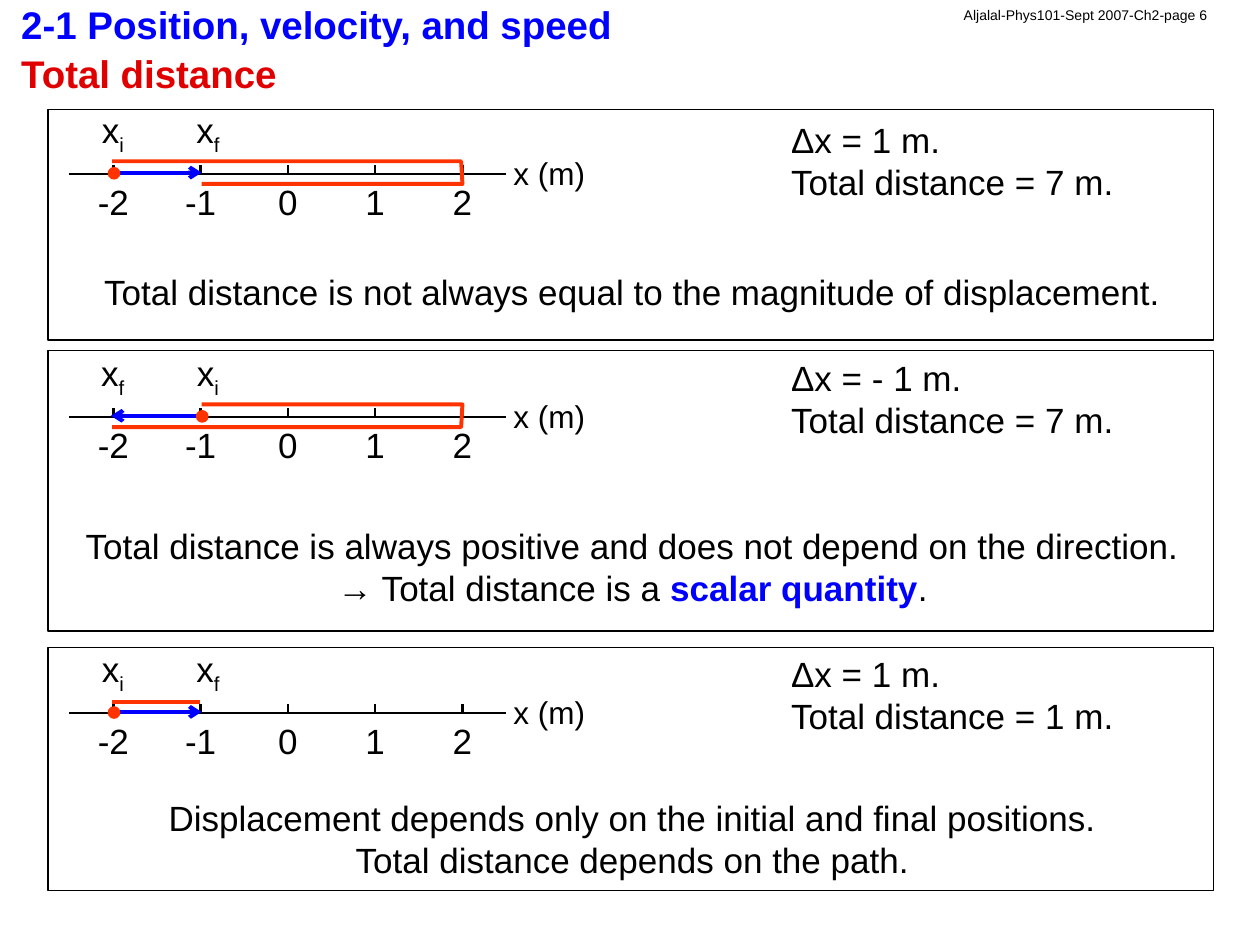
"""Build a slide comparing total distance and displacement on three number lines."""
import lxml.etree
import pptx
import pptx.dml.color
import pptx.enum.shapes
import pptx.enum.text
import pptx.oxml.ns
import pptx.util

Inches = pptx.util.Inches
hue = pptx.dml.color.RGBColor.from_string
qn = pptx.oxml.ns.qn
kinds = pptx.enum.shapes.MSO_SHAPE
LEFT = pptx.enum.text.PP_ALIGN.LEFT
MID = pptx.enum.text.PP_ALIGN.CENTER
BLACK, BLUE, RED, ORANGE = "000000", "0000FF", "E10000", "FF3300"


def text(host, at, rows, size=20, color=BLACK, bold=False, align=MID, wrap=True):
    box = host.add_textbox(*map(Inches, at))
    frame = box.text_frame
    frame.word_wrap = wrap
    frame.auto_size = pptx.enum.text.MSO_AUTO_SIZE.SHAPE_TO_FIT_TEXT
    for i, row in enumerate(rows):
        para = frame.paragraphs[0] if i == 0 else frame.add_paragraph()
        para.alignment = align
        for words, style in row if isinstance(row, list) else [(row, {})]:
            run = para.add_run()
            run.text = words
            run.font.name = "Arial"
            run.font.size = pptx.util.Pt(size)
            run.font.bold = style.get("bold", bold)
            run.font.color.rgb = hue(style.get("color", color))
            if "base" in style:
                run._r.get_or_add_rPr().set("baseline", style["base"])


def line(host, start, end, color=BLACK, width=1.5, arrow=False):
    link = host.add_connector(
        pptx.enum.shapes.MSO_CONNECTOR.STRAIGHT, *map(Inches, start + end))
    link.line.color.rgb = hue(color)
    link.line.width = pptx.util.Pt(width)
    props = link._element.spPr
    if arrow:
        lxml.etree.SubElement(props.find(qn("a:ln")), qn("a:tailEnd"), type="arrow")
    lxml.etree.SubElement(props, qn("a:effectLst"))


deck = pptx.Presentation()
deck.slide_width, deck.slide_height = Inches(10), Inches(7.5)
shapes = deck.slides.add_slide(deck.slide_layouts[6]).shapes

text(shapes, (7.55, 0, 2.58, 0.24), ["Aljalal-Phys101-Sept 2007-Ch2-page 6"],
     size=8, align=LEFT, wrap=False)
text(shapes, (0.07, -0.04, 9.72, 0.47), ["2-1 Position, velocity, and speed"],
     size=22, color=BLUE, bold=True, align=LEFT)
text(shapes, (0.07, 0.35, 9.72, 0.47), ["Total distance"],
     size=22, color=RED, bold=True, align=LEFT)

panels = [
    dict(top=0.87, high=1.83, axis=1.38, marks="if", facts=0.89, note=2.1,
         move="1", total="7", start=0.88, end=1.6,
         route=[(0.89, -0.1), (3.66, -0.1), (3.67, 0.08), (1.6, 0.08)],
         rows=["Total distance is not always equal to the magnitude of displacement."]),
    dict(top=2.78, high=2.23, axis=3.31, marks="fi", facts=2.78, note=4.11,
         move="- 1", total="7", start=1.6, end=0.88,
         route=[(1.6, -0.1), (3.67, -0.1), (3.66, 0.08), (0.89, 0.08)],
         rows=["Total distance is always positive and does not depend on the direction.",
               [("→ Total distance is a ", {}),
                ("scalar quantity", {"bold": True, "color": BLUE}), (".", {})]]),
    dict(top=5.14, high=1.93, axis=5.66, marks="if", facts=5.13, note=6.27,
         move="1", total="1", start=0.88, end=1.6,
         route=[(0.89, -0.09), (1.59, -0.09)],
         rows=["Displacement depends only on the initial and final positions.",
               "Total distance depends on the path."]),
]

for panel in panels:
    y = panel["axis"]
    frame = shapes.add_shape(
        kinds.RECTANGLE, *map(Inches, (0.38, panel["top"], 9.25, panel["high"])))
    frame.shadow.inherit = False
    frame.fill.background()
    frame.line.color.rgb = hue(BLACK)
    frame.line.width = pptx.util.Pt(0.75)
    text(shapes, (0.42, panel["note"], 9.2, 0.44 if len(panel["rows"]) == 1 else 0.77),
         panel["rows"])

    scale = shapes.add_group_shape().shapes
    line(scale, (0.55, y), (4.02, y))
    for i in range(5):
        x = 0.9 + 2.77 * i / 4
        line(scale, (x, y), (x, y - 0.07))
        text(scale, (x - 0.28, y, 0.56, 0.44), [str(i - 2)])

    text(shapes, (3.94, y - 0.21, 0.84, 0.4), ["x (m)"], size=18)
    for mark, x, wide in zip(panel["marks"], (0.6, 1.41), (0.59, 0.48)):
        text(shapes, (x, y - 0.57, wide, 0.48),
             [[("x", {}), (mark, {"base": "-25000"})]])

    line(shapes, (panel["start"], y - 0.01), (panel["end"], y - 0.01),
         color=BLUE, width=2.25, arrow=True)
    x = 0.86 if panel["start"] < panel["end"] else 1.56
    dot = shapes.add_shape(kinds.OVAL, *map(Inches, (x, y - 0.05, 0.09, 0.09)))
    dot.shadow.inherit = False
    dot.fill.solid()
    dot.fill.fore_color.rgb = hue(ORANGE)
    dot.line.color.rgb = hue(ORANGE)
    dot.line.width = pptx.util.Pt(0.75)

    text(shapes, (6.18, panel["facts"], 3.15, 0.77),
         [f"Δx = {panel['move']} m.", f"Total distance = {panel['total']} m."],
         align=LEFT)

    route = [(x, y + rise) for x, rise in panel["route"]]
    if len(route) == 2:
        line(shapes, *route, color=ORANGE, width=2.25)
    else:
        spots = [tuple(map(Inches, spot)) for spot in route]
        pen = shapes.build_freeform(*spots[0])
        pen.add_line_segments(spots[1:], close=False)
        trail = pen.convert_to_shape()
        trail.shadow.inherit = False
        trail.fill.background()
        trail.line.color.rgb = hue(ORANGE)
        trail.line.width = pptx.util.Pt(2.25)

deck.save("out.pptx")
